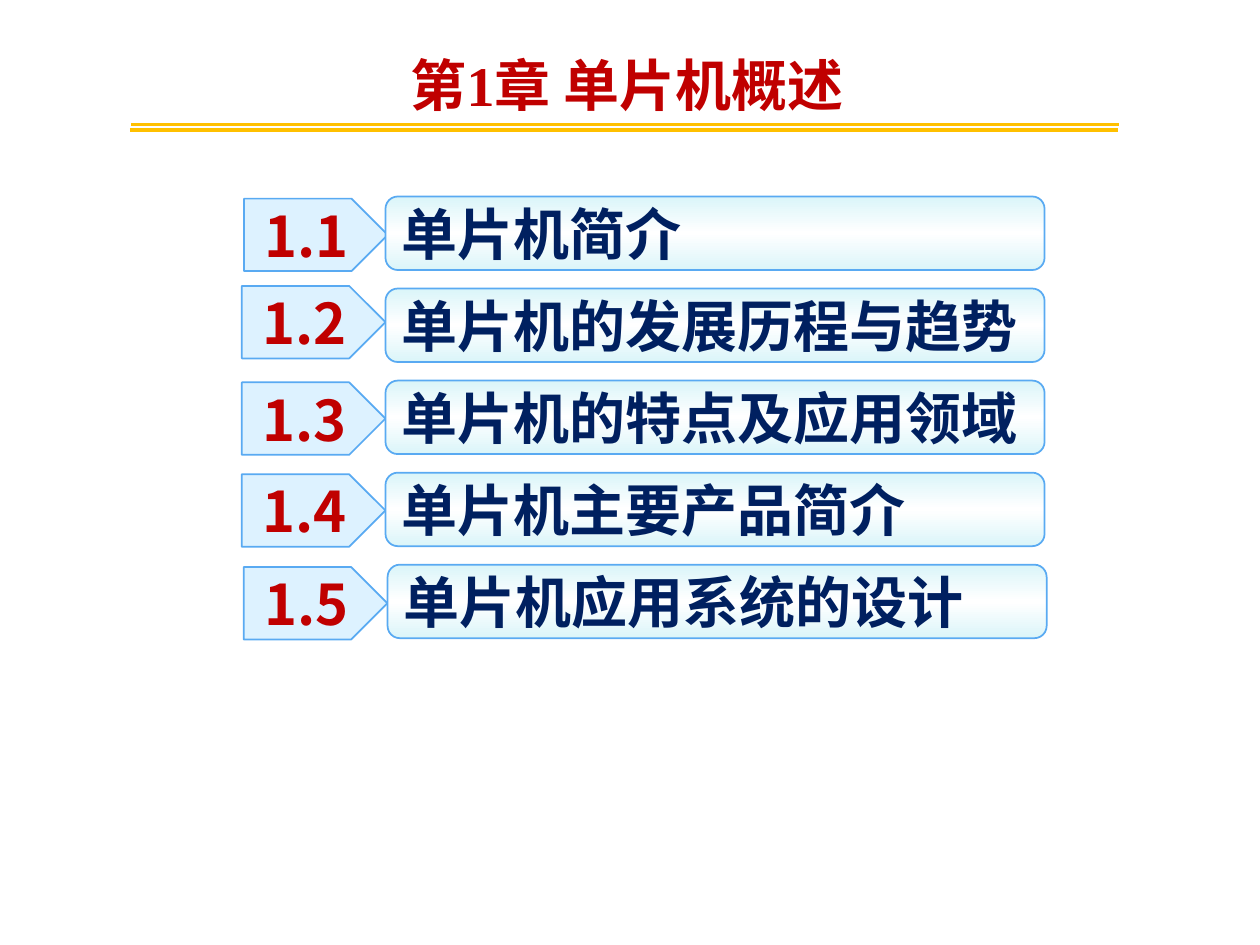
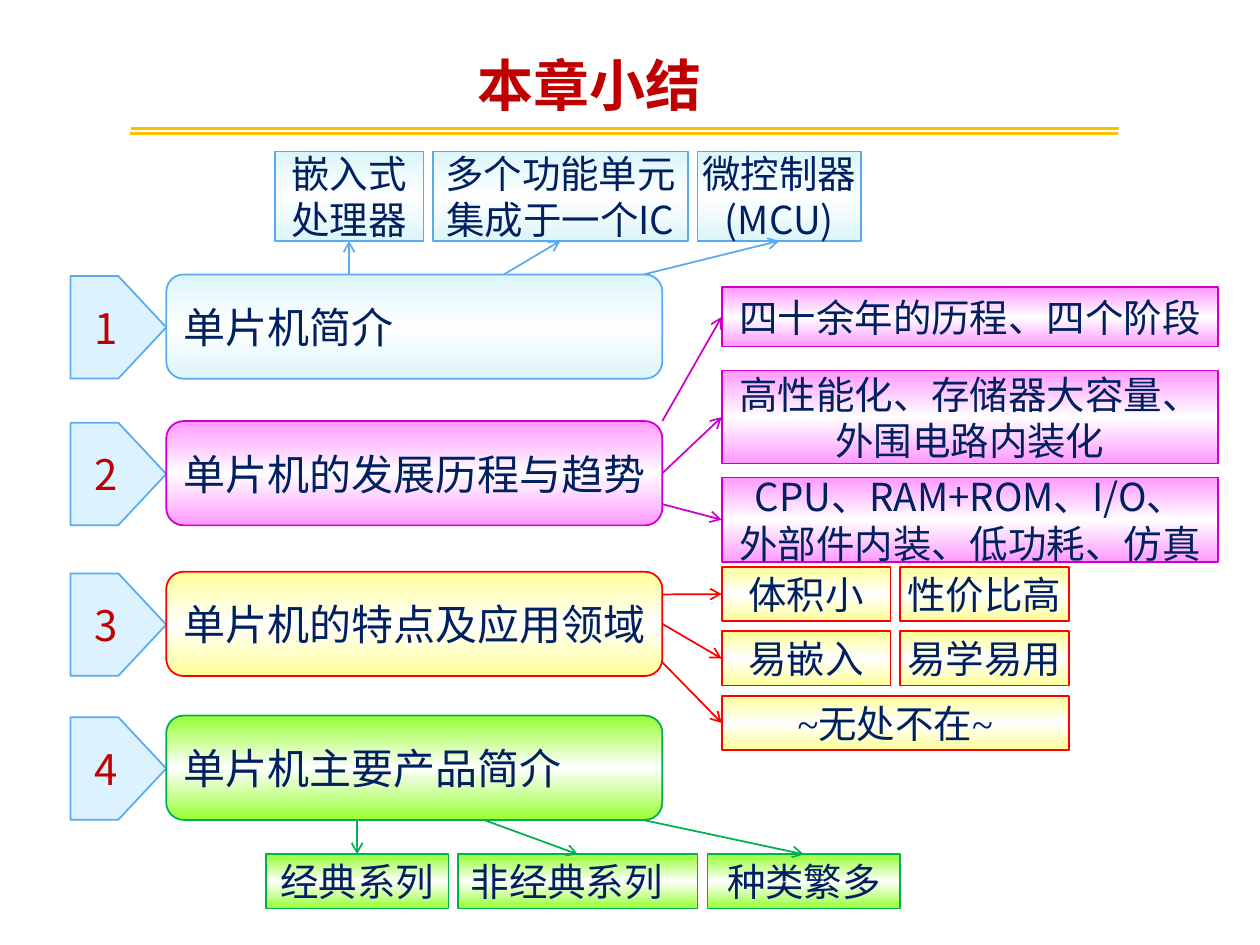
from copy import deepcopy

from pptx import Presentation
from pptx.dml.color import RGBColor
from pptx.enum.shapes import MSO_CONNECTOR, MSO_SHAPE
from pptx.enum.text import MSO_ANCHOR, PP_ALIGN
from pptx.oxml.ns import qn
from pptx.util import Pt

RECT, PLATE, ROUND = MSO_SHAPE.RECTANGLE, MSO_SHAPE.PENTAGON, MSO_SHAPE.FLOWCHART_ALTERNATE_PROCESS
LINE = MSO_CONNECTOR.STRAIGHT
LEFT, MID = PP_ALIGN.LEFT, PP_ALIGN.CENTER
MIDDLE = MSO_ANCHOR.MIDDLE
TOP, WEST, FOOT, EAST = range(4)

SANS, SERIF = "Noto Sans CJK SC", "Times New Roman"
COLORS = {"red": "C00000", "navy": "002060", "gold": "FFC000", "tag": "DDF2FF", "white": "FFFFFF"}
# Each tone is a pair: edge of the gradient, outline
TONES = {"blue": ("DBF5F9", "59AAF2"), "pink": ("FF99FF", "CC00CC"),
         "yellow": ("FFFF99", "FF0000"), "green": ("99FF33", "00B050")}


def rgb(code):
    return RGBColor.from_string(COLORS.get(code, code))


def write(frame, lines, size, color, font=SANS, bold=False, align=LEFT, wrap=False):
    frame.word_wrap = wrap
    for i, line in enumerate(lines):
        para = frame.paragraphs[0] if i == 0 else frame.add_paragraph()
        para.text, para.alignment = line, align
        face = para.font
        face.name, face.size, face.bold = font, Pt(size), bold
        face.color.rgb = rgb(color)
        props = para._p.pPr.find(qn("a:defRPr"))
        props.find(qn("a:latin")).addnext(props.makeelement(qn("a:ea"), {"typeface": SANS}))


def shade(fill, edge):
    """Vertical gradient: edge, white, edge."""
    fill.gradient()
    fill.gradient_angle = 270
    stops = fill._xPr.find(".//" + qn("a:gsLst"))
    stops.append(deepcopy(stops[0]))
    for stop, place, code in zip(fill.gradient_stops, (0, 0.5, 1), (edge, "white", edge)):
        stop.position = place
        stop.color.rgb = rgb(code)


def add_box(slide, kind, box, tone):
    shape = slide.shapes.add_shape(kind, *map(Pt, box))
    shape.shadow.inherit = False
    edge, line = TONES[tone]
    if kind == PLATE:
        shape.fill.solid()
        shape.fill.fore_color.rgb = rgb("tag")
    else:
        shade(shape.fill, edge)
    shape.line.color.rgb = rgb(line)
    shape.line.width = Pt(1)
    shape.text_frame.vertical_anchor = MIDDLE
    return shape


def add_line(slide, start, end, color, width=1, arrow=False):
    line = slide.shapes.add_connector(LINE, *map(Pt, (*start, *end)))
    line.line.color.rgb = rgb(color)
    line.line.width = Pt(width)
    props = line._element.spPr
    if arrow:
        stroke = props.find(qn("a:ln"))
        stroke.append(stroke.makeelement(qn("a:tailEnd"), {"type": "arrow"}))
    props.append(props.makeelement(qn("a:effectLst"), {}))
    return line


def add_head(slide, text, box, rule):
    """Title over a double gold rule."""
    add_line(slide, (74.2, rule + 2.9), (638.6, rule + 2.9), "gold", 2.25)
    add_line(slide, (74.9, rule), (639.4, rule), "gold", 1.5)
    frame = slide.shapes.add_textbox(*map(Pt, box)).text_frame
    write(frame, [text], 32, "red", SERIF, True)
    frame.paragraphs[0].line_spacing = 1.25


def add_row(slide, num, text, tag, bar, size, bold=False, tone="blue"):
    """Numbered tag with its bar; returns the bar."""
    plate = add_box(slide, PLATE, tag, "blue")
    write(plate.text_frame, [num], size, "red", bold=bold, align=MID, wrap=True)
    shape = add_box(slide, ROUND, bar, tone)
    write(shape.text_frame, [text], size, "navy", bold=bold)
    return shape


def add_note(slide, text, box, tone, font=SANS, align=MID):
    note = add_box(slide, RECT, box, tone)
    write(note.text_frame, text.split("\n"), 22, "navy", font, align=align)
    return note


def link(slide, bar, note, side, shift, tone):
    """Arrow from a bar's side to a note; no shift means the middle."""
    x, y, w, h = (v.pt for v in (bar.left, bar.top, bar.width, bar.height))
    at = shift or 0
    start = {TOP: (x + at, y), FOOT: (x + at, y + h), EAST: (x + w, y + at)}[side]
    line = add_line(slide, start, start, TONES[tone][1], arrow=True)
    if shift is None:
        line.begin_connect(bar, side)
    line.end_connect(note, {TOP: FOOT, FOOT: TOP, EAST: WEST}[side])


def add_strip(slide, bar, notes, box, side, tone):
    """Notes side by side, above or below a bar."""
    x, y, h = box
    for text, w, shift, align in notes:
        note = add_note(slide, text, (x, y, w, h), tone, align=align)
        link(slide, bar, note, side, shift, tone)
        x += w + 5.6


def add_stack(slide, bar, x, w):
    """Notes on the history, one under another."""
    for text, y, h, shift in (
            ("四十余年的历程、四个阶段", 164.2, 33.8, 0),
            ("高性能化、存储器大容量、\n外围电路内装化", 211.7, 53.3, None),
            ("CPU、RAM+ROM、I/O、\n外部件内装、低功耗、仿真", 272.9, 48.2, 47.5)):
        note = add_note(slide, text, (x, y, w, h), "pink")
        link(slide, bar, note, EAST, shift, "pink")


def add_grid(slide, bar, x, y):
    """Notes on the features: two rows of two, then a wide one."""
    wide, gap, high, step = 96.5, 5.4, 31, 36.8
    rows = ((("体积小", "性价比高"), 13, SANS), (("易嵌入", "易学易用"), None, SANS),
            (("~无处不在~",), 51.8, SERIF))
    for i, (texts, shift, font) in enumerate(rows):
        w = wide if len(texts) == 2 else 2 * wide + gap
        notes = [add_note(slide, text, (x + j * (wide + gap), y + i * step, w, high), "yellow", font)
                 for j, text in enumerate(texts)]
        link(slide, bar, notes[0], EAST, shift, "yellow")


def build_list(slide):
    add_head(slide, "第1章 单片机概述", (227.5, 15.8, 289.4, 52.6), 71.3)
    # Text, tag left and top, bar left
    rows = (("单片机简介", 139.5, 113.5, 220.3),
            ("单片机的发展历程与趋势", 138.2, 163.4, 220.3),
            ("单片机的特点及应用领域", 138.2, 218.5, 220.3),
            ("单片机主要产品简介", 138.2, 271, 220.3),
            ("单片机应用系统的设计", 139.3, 324, 221.5))
    for i, (text, x, y, left) in enumerate(rows):
        add_row(slide, f"1.{i + 1}", text, (x, y, 82.1, 41.4),
                (left, 112.3 + 52.6 * i, 376.6, 42), 32, True)


def build_map(slide):
    add_head(slide, "本章小结", (265.7, 15.8, 213, 55.4), 73.4)
    # Topics
    topics = (("单片机简介", 156.8, "blue"), ("单片机的发展历程与趋势", 240.6, "pink"),
              ("单片机的特点及应用领域", 326.7, "yellow"), ("单片机主要产品简介", 408.9, "green"))
    bars = [add_row(slide, str(i), text, (40.3, y + 1, 54.7, 58.5), (95, y, 283.5, 59.6), 24, tone=tone)
            for i, (text, y, tone) in enumerate(topics, 1)]
    intro, past, traits, goods = bars
    # Notes around them
    add_strip(slide, intro, (("嵌入式\n处理器", 85, 104.4, MID),
                             ("多个功能单元\n集成于一个IC", 145.4, 193, MID),
                             ("微控制器\n(MCU)", 93.6, 273, MID)), (157, 86.6, 51), TOP, "blue")
    add_stack(slide, past, 412.4, 283.6)
    add_grid(slide, traits, 412.4, 324)
    add_strip(slide, goods, (("经典系列", 104.4, 109, MID), ("非经典系列", 136.8, 181.4, LEFT),
                             ("种类繁多", 110.2, 272.2, MID)), (151.9, 488.2, 31), FOOT, "green")


def main():
    deck = Presentation()
    deck.slide_width, deck.slide_height = Pt(720), Pt(540)
    for build in (build_list, build_map):
        build(deck.slides.add_slide(deck.slide_layouts[6]))
    deck.save("out.pptx")


if __name__ == "__main__":
    main()
